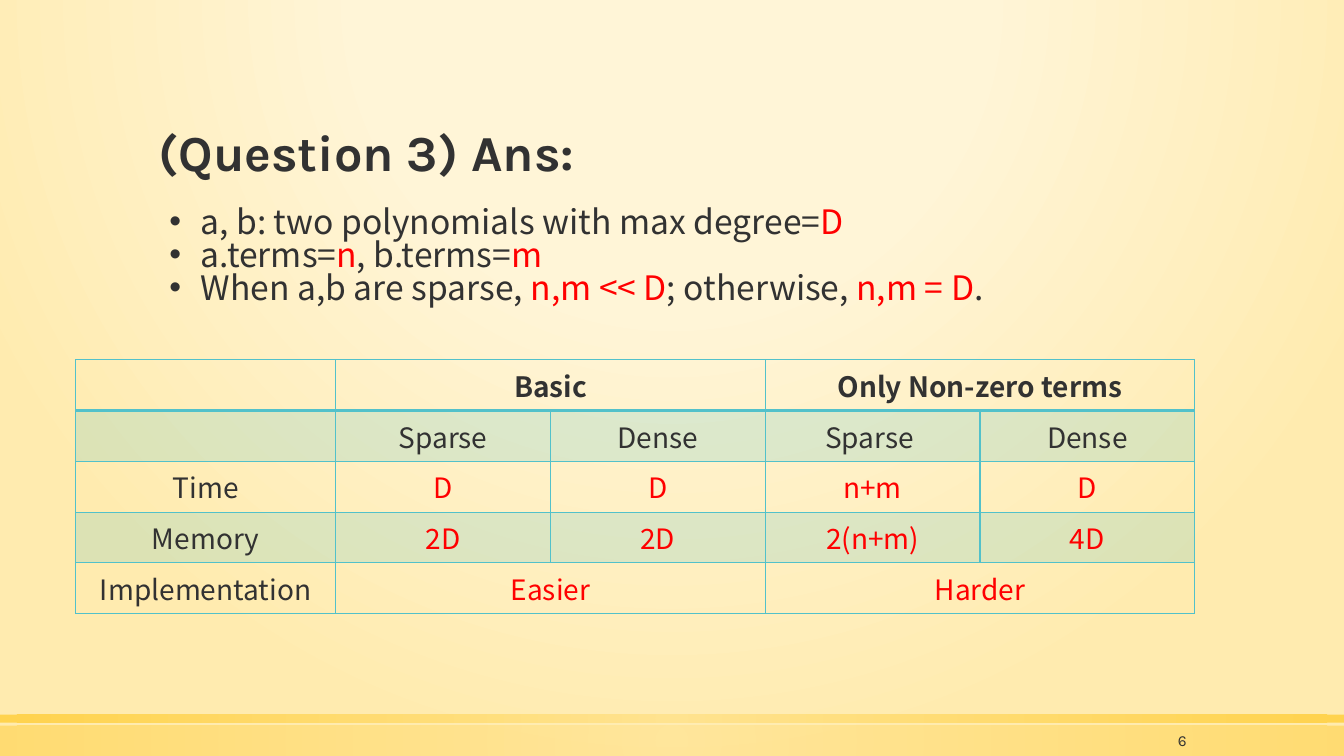
from dataclasses import dataclass

from lxml import etree
from pptx import Presentation
from pptx.dml.color import RGBColor
from pptx.enum.shapes import MSO_SHAPE
from pptx.enum.text import MSO_ANCHOR, MSO_AUTO_SIZE, PP_ALIGN
from pptx.oxml import parse_xml
from pptx.oxml.ns import qn
from pptx.util import Inches, Pt

RECTANGLE = MSO_SHAPE.RECTANGLE
TOP, MIDDLE, BOTTOM = MSO_ANCHOR.TOP, MSO_ANCHOR.MIDDLE, MSO_ANCHOR.BOTTOM
CENTER, LEFT, RIGHT = PP_ALIGN.CENTER, PP_ALIGN.LEFT, PP_ALIGN.RIGHT
NO_AUTOFIT = MSO_AUTO_SIZE.NONE
DRAWING_NS = "http://schemas.openxmlformats.org/drawingml/2006/main"


@dataclass(frozen=True)
class Theme:
    heading_font: str = "Karla"
    text_font: str = "Noto Sans CJK TC"
    ink: str = "323232"
    answer: str = "FF0000"
    grid: str = "52C1CA"
    stripe_alpha: int = 20
    cream: str = "FFF5D7"
    sand: str = "FFEBAF"
    band_light: str = "FFE186"
    band_deep: str = "FFCD36"
    title_size: int = 36
    list_size: int = 24
    table_size: int = 20
    number_size: int = 11


def write(paragraph, text, *, font, size, color, bold=False):
    run = paragraph.add_run()
    run.text = text
    run.font.name = font
    run.font.size = Pt(size)
    run.font.bold = bold
    run.font.color.rgb = RGBColor.from_string(color)
    run_properties = run._r.get_or_add_rPr()
    etree.SubElement(run_properties, qn("a:ea")).set("typeface", font)


def radial_gradient(stops, focus):
    stop_xml = "".join(
        f'<a:gs pos="{position * 1000}"><a:srgbClr val="{color}">'
        f'<a:alpha val="{alpha * 1000}"/></a:srgbClr></a:gs>'
        for position, color, alpha in stops
    )
    left, top, right, bottom = (side * 1000 for side in focus)
    return parse_xml(
        f'<a:gradFill xmlns:a="{DRAWING_NS}" rotWithShape="1"><a:gsLst>{stop_xml}</a:gsLst>'
        f'<a:path path="circle"><a:fillToRect l="{left}" t="{top}" r="{right}" b="{bottom}"/>'
        "</a:path></a:gradFill>"
    )


def swap_fill(fill, owner, gradient):
    fill.solid()
    owner.replace(owner.find(qn("a:solidFill")), gradient)


class SlideBuilder:
    def __init__(self, presentation, theme):
        self.theme = theme
        self.slide = presentation.slides.add_slide(presentation.slide_layouts[1])

    def place(self, shape, box, anchor):
        shape.left, shape.top, shape.width, shape.height = map(Inches, box)
        frame = shape.text_frame
        frame.word_wrap = True
        frame.auto_size = NO_AUTOFIT
        frame.vertical_anchor = anchor
        return frame

    def background(self, stops, focus):
        fill = self.slide.background.fill
        fill.solid()
        properties = self.slide._element.cSld.find(qn("p:bg")).find(qn("p:bgPr"))
        swap_fill(fill, properties, radial_gradient(stops, focus))

    def band(self, top, height, alpha):
        band = self.slide.shapes.add_shape(
            RECTANGLE, 0, Inches(top), Inches(13.33), Inches(height)
        )
        band.shadow.inherit = False
        band.line.fill.background()
        stops = [(0, self.theme.band_light, alpha), (100, self.theme.band_deep, alpha)]
        swap_fill(band.fill, band._element.spPr, radial_gradient(stops, (50, 50, 50, 50)))

    def title(self, text, box):
        heading = self.place(self.slide.shapes.title, box, BOTTOM).paragraphs[0]
        heading.alignment = LEFT
        heading.line_spacing = 0.9
        write(heading, text, font=self.theme.heading_font, size=self.theme.title_size,
              color=self.theme.ink, bold=True)

    def bullets(self, items, box):
        frame = self.place(self.slide.placeholders[1], box, TOP)
        for index, pieces in enumerate(items):
            bullet = frame.add_paragraph() if index else frame.paragraphs[0]
            bullet.line_spacing = 0.82
            bullet.space_before = bullet.space_after = Pt(0)
            properties = bullet._p.get_or_add_pPr()
            properties.set("marL", str(Inches(0.31)))
            properties.set("indent", str(-Inches(0.31)))
            etree.SubElement(properties, qn("a:buFont")).set("typeface", "Arial")
            etree.SubElement(properties, qn("a:buChar")).set("char", "•")
            for text, color in pieces:
                write(bullet, text, font=self.theme.text_font, size=self.theme.list_size,
                      color=color)

    def borders(self, cell, header):
        properties = cell._tc.get_or_add_tcPr()
        for index, side in enumerate("LRTB"):
            width = Pt(2 if header and side == "B" else 1)
            properties.insert(index, parse_xml(
                f'<a:ln{side} xmlns:a="{DRAWING_NS}" w="{width}"><a:solidFill>'
                f'<a:srgbClr val="{self.theme.grid}"/></a:solidFill></a:ln{side}>'
            ))

    def stripe(self, cell):
        cell.fill.solid()
        cell.fill.fore_color.rgb = RGBColor.from_string(self.theme.grid)
        tint = cell._tc.tcPr.find(qn("a:solidFill")).find(qn("a:srgbClr"))
        etree.SubElement(tint, qn("a:alpha")).set("val", str(self.theme.stripe_alpha * 1000))

    def table(self, rows, left, top, widths, row_height, merged_rows):
        table = self.slide.shapes.add_table(
            len(rows), len(widths), Inches(left), Inches(top),
            Inches(sum(widths)), Inches(row_height * len(rows))
        ).table
        table.first_row = table.horz_banding = False
        for column, width in zip(table.columns, widths):
            column.width = Inches(width)
        for row_index, row in enumerate(rows):
            table.rows[row_index].height = Inches(row_height)
            for column_index, text in enumerate(row):
                cell = table.cell(row_index, column_index)
                if row_index % 2:
                    self.stripe(cell)
                else:
                    cell.fill.background()
                self.borders(cell, row_index == 0)
                if text:
                    entry = cell.text_frame.paragraphs[0]
                    entry.alignment = CENTER
                    is_answer = row_index > 1 and column_index > 0
                    write(entry, text, font=self.theme.text_font, size=self.theme.table_size,
                          color=self.theme.answer if is_answer else self.theme.ink,
                          bold=row_index == 0)
        for row_index in merged_rows:
            for start in (1, 3):
                table.cell(row_index, start).merge(table.cell(row_index, start + 1))

    def page_number(self, text, box):
        number_box = self.slide.shapes.add_textbox(*map(Inches, box))
        number = self.place(number_box, box, MIDDLE).paragraphs[0]
        number.alignment = RIGHT
        write(number, text, font=self.theme.heading_font, size=self.theme.number_size,
              color=self.theme.ink)


def main():
    presentation = Presentation()
    presentation.slide_width, presentation.slide_height = Inches(13.33), Inches(7.5)
    theme = Theme()
    ink, answer = theme.ink, theme.answer
    builder = SlideBuilder(presentation, theme)

    builder.background(
        [(0, theme.cream, 59), (40, theme.cream, 66), (100, theme.sand, 100)],
        (50, -80, 50, 180),
    )
    builder.band(7.2, 0.3, 50)
    builder.band(7.09, 0.08, 80)
    builder.title("(Question 3) Ans:", (1.47, 0.51, 10.4, 1.35))
    builder.bullets([
        [("a, b: two polynomials with max degree=", ink), ("D", answer)],
        [("a.terms=", ink), ("n", answer), (", b.terms=", ink), ("m", answer)],
        [("When a,b are sparse, ", ink), ("n,m << D", answer), ("; otherwise, ", ink),
         ("n,m = D", answer), (".", ink)],
    ], (1.58, 2.01, 9.17, 1.31))
    builder.table([
        ["", "Basic", "", "Only Non-zero terms", ""],
        ["", "Sparse", "Dense", "Sparse ", "Dense"],
        ["Time", "D", "D", "n+m", "D"],
        ["Memory", "2D", "2D", "2(n+m)", "4D"],
        ["Implementation", "Easier", "", "Harder", ""],
    ], 0.75, 3.57, [2.58] + [2.13] * 4, 0.5, merged_rows=(0, 4))
    builder.page_number("6", (11.17, 7.22, 0.7, 0.26))
    presentation.save("out.pptx")


if __name__ == "__main__":
    main()
